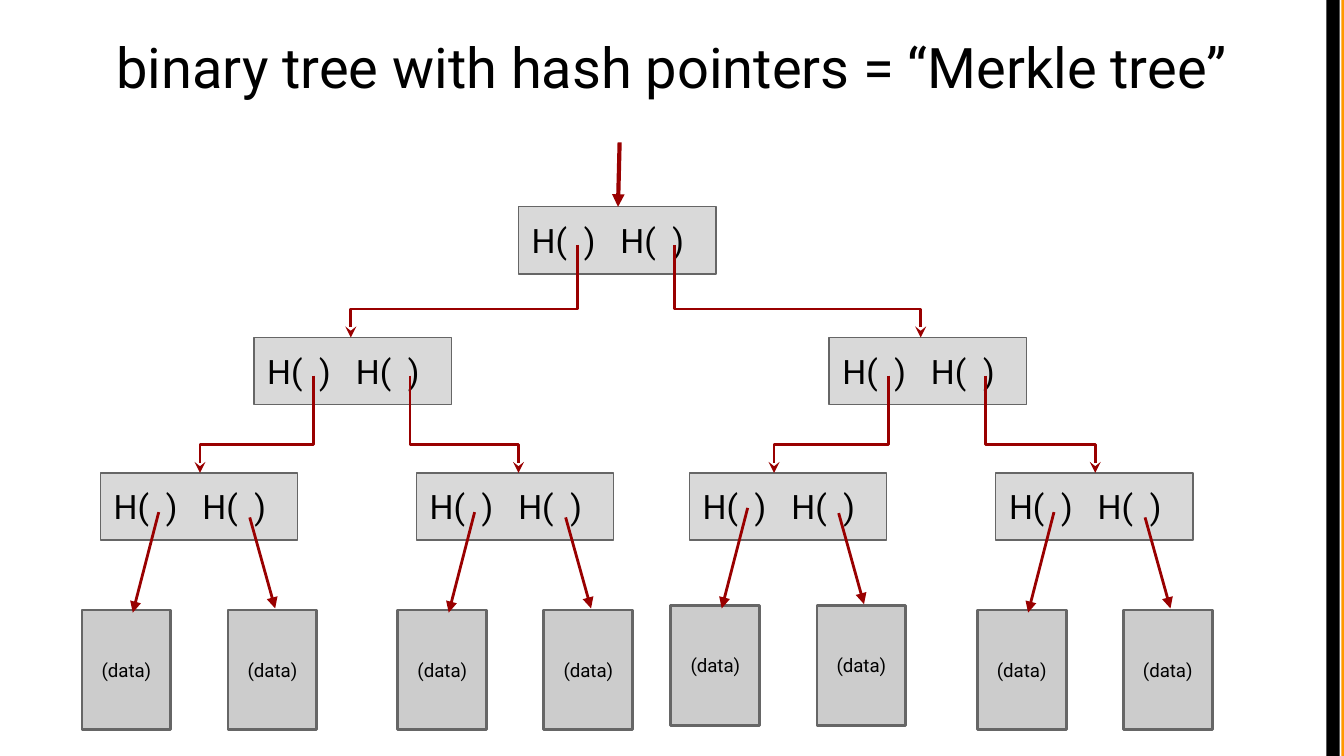
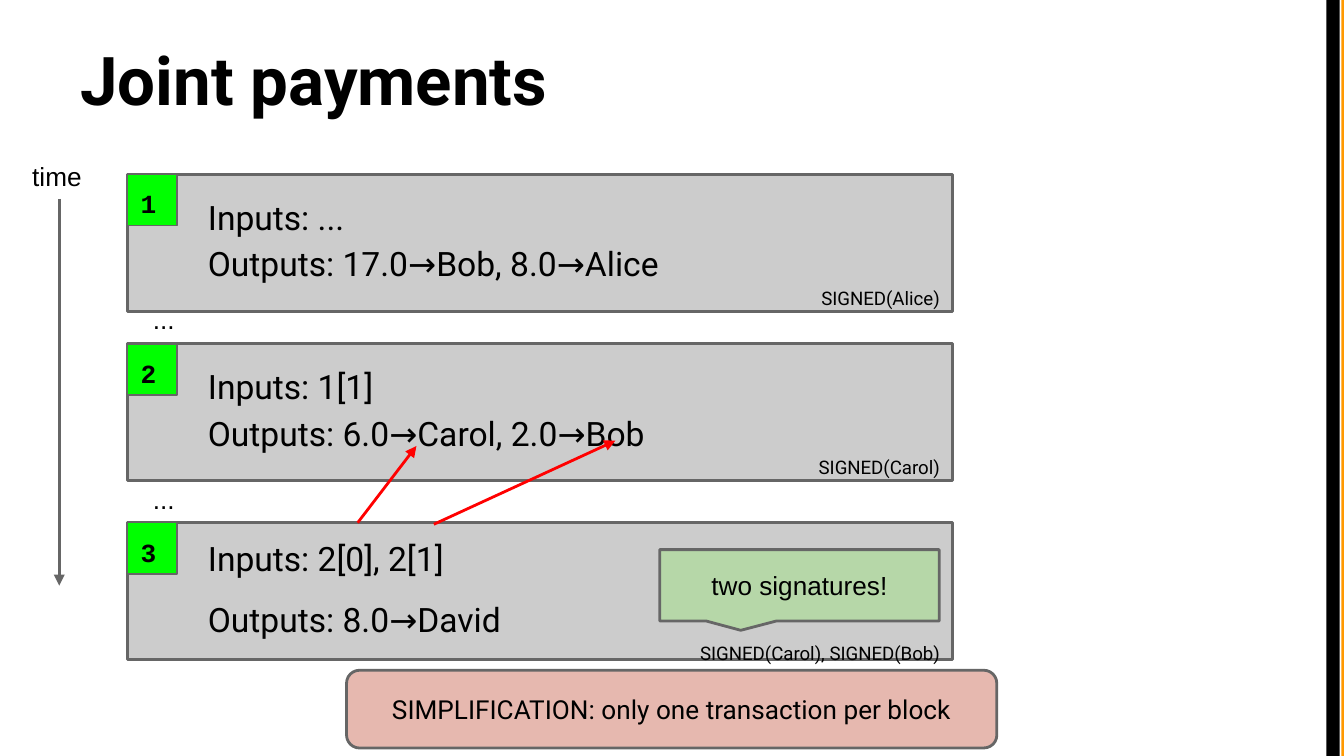
from dataclasses import dataclass

from lxml import etree
from pptx import Presentation
from pptx import util as u
from pptx.dml.color import RGBColor
from pptx.enum import shapes as es, text as et
from pptx.oxml.ns import qn

Cm, Pt = u.Cm, u.Pt
KIND = es.MSO_SHAPE
SIDE = et.PP_ALIGN
EDGE = et.MSO_ANCHOR


@dataclass(frozen=True)
class Theme:
    black: str = "000000"
    orange: str = "FF9900"
    edge: str = "666666"
    node: str = "D9D9D9"
    block: str = "CCCCCC"
    arrow: str = "990000"
    link: str = "FF0000"
    tag: str = "00FF00"
    note: str = "E6B8AF"
    call: str = "B6D7A8"
    sans: str = "Roboto"
    plain: str = "Arial"
    mono: str = "Courier New"
    head: int = 36
    sub: int = 30
    main: int = 18
    mid: int = 14
    small: int = 10
    thin: float = 0.75
    line: float = 1.5
    thick: float = 2.25


T = Theme()
WIDE, HIGH = 25.4, 14.29


def put(obj, **vals):
    for key, val in vals.items():
        setattr(obj, key, val)


def tint(part, hue):
    part.solid()
    part.fore_color.rgb = RGBColor.from_string(hue)


def place(shape, x, y, w, h):
    put(shape, left=Cm(x), top=Cm(y), width=Cm(w), height=Cm(h))


def write(shape, *paras, anchor=EDGE.MIDDLE):
    """Fill a shape with paragraphs, each a (text, format dict) pair."""
    frame = shape.text_frame
    pad = Cm(0.25)
    put(frame, word_wrap=True, auto_size=et.MSO_AUTO_SIZE.NONE,
        vertical_anchor=anchor, margin_left=pad, margin_right=pad,
        margin_top=pad, margin_bottom=pad)
    for i, (words, fmt) in enumerate(paras):
        para = frame.add_paragraph() if i else frame.paragraphs[0]
        put(para, alignment=fmt.get("side", SIDE.LEFT),
            line_spacing=fmt.get("gap"), space_before=Pt(fmt.get("before", 0)))
        props = para._p.get_or_add_pPr()
        props.set("marL", "0")
        props.set("indent", str(Cm(fmt.get("indent", 0))))
        etree.SubElement(props, qn("a:buNone"))
        run = para.add_run()
        run.text = words
        put(run.font, name=fmt.get("font", T.sans), bold=fmt.get("bold", False),
            size=Pt(fmt.get("size", T.main)))
        run.font.color.rgb = RGBColor.from_string(T.black)


def stroke(shape, hue, width, tip=None):
    tint(shape.line.fill, hue)
    shape.line.width = Pt(width)
    if tip:
        ln = shape.line._get_or_add_ln()
        etree.SubElement(ln, qn("a:tailEnd"), type=tip)


def box(pool, kind, area, fill, width=T.line):
    shape = pool.add_shape(kind, *map(Cm, area))
    shape.shadow.inherit = False
    tint(shape.fill, fill)
    stroke(shape, T.edge, width)
    return shape


def label(pool, area, words, anchor):
    write(pool.add_textbox(*map(Cm, area)),
          (words, dict(font=T.plain, size=T.mid)), anchor=anchor)


def arrow(pool, start, end, hue=T.arrow, width=T.line):
    line = pool.add_connector(es.MSO_CONNECTOR.STRAIGHT,
                              *map(Cm, (*start, *end)))
    stroke(line, hue, width, "triangle")
    etree.SubElement(line._element.spPr, qn("a:effectLst"))


def elbow(pool, start, end):
    """Draw a bent pointer that turns just above its target."""
    (x, y), (tx, ty) = start, end
    turn = ty - 0.54
    pen = pool.build_freeform(Cm(x), Cm(y))
    pen.add_line_segments([(Cm(a), Cm(b)) for a, b in
                           ((x, turn), (tx, turn), (tx, ty))], close=False)
    shape = pen.convert_to_shape()
    shape.shadow.inherit = False
    shape.fill.background()
    stroke(shape, T.arrow, T.line, "stealth")


def bands(deck, slide):
    """Build the right-hand bands and move them to the slide master."""
    tree = deck.slide_master.shapes._spTree
    for i, (x, w, hue) in enumerate(((25.35, 0.05, T.orange),
                                     (25.07, 0.25, T.black))):
        band = box(slide.shapes, KIND.RECTANGLE, (x, 0, w, HIGH), hue)
        band.line.fill.background()
        band._element.nvSpPr.cNvPr.set("id", str(20 + i))
        tree.append(band._element)


def node(pool, x, y):
    shape = box(pool, KIND.RECTANGLE, (x, y, 3.73, 1.27), T.node, T.thin)
    write(shape, ("H(  )   H(  )", {}), anchor=EDGE.TOP)


def leaves(slide, x, y):
    """Group the two data boxes and their pointers under a node at x."""
    pool = slide.shapes.add_group_shape().shapes
    for dx, start, end in ((-0.35, (1.45, -1.85), (0.96, 0.05)),
                           (2.41, (0.41, -1.75), (0.89, -0.03))):
        left = x + dx
        data = box(pool, KIND.RECTANGLE, (left, y, 1.68, 2.26), T.block)
        write(data, ("(data)", dict(size=T.small, side=SIDE.CENTER)))
        arrow(pool, *((left + a, y + b) for a, b in (start, end)))


def tree(slide):
    title, body = slide.placeholders[0], slide.placeholders[1]
    title._element.getparent().remove(title._element)
    place(body, 1.27, 0.36, 22.86, 1.9)
    write(body, ("binary tree with hash pointers = “Merkle tree”",
                 dict(size=T.sub, side=SIDE.CENTER, before=6)),
          anchor=EDGE.TOP)

    pool = slide.shapes
    tops = (3.91, 6.38, 8.94)
    rows = ((9.8,), (4.8, 15.67), (1.9, 7.87, 13.03, 18.82))
    tips = ((6.63, 17.4), (3.78, 9.8, 14.63, 20.7))
    for y, row in zip(tops, rows):
        for x in row:
            node(pool, x, y)
    for row, ends, y, low in zip(rows, tips, tops, tops[1:]):
        slots = [x + dx for x in row for dx in (1.12, 2.95)]
        for x, end in zip(slots, ends):
            elbow(pool, (x, y + 0.72), (end, low))
    for x, y in zip(rows[-1], (11.53, 11.53, 11.45, 11.53)):
        leaves(slide, x, y)
    arrow(pool, (11.71, 2.69), (11.68, 3.91), width=T.thick)


def block(pool, y, ins, outs, signed, gap=1.15):
    shape = box(pool, KIND.RECTANGLE, (2.41, y, 15.6, 2.59), T.block)
    write(shape, (ins, dict(indent=1.27, gap=1.5)),
          (outs, dict(indent=1.27, gap=gap)),
          (signed, dict(size=T.small, side=SIDE.RIGHT, gap=1.15)))


def tag(pool, y, num):
    shape = box(pool, KIND.RECTANGLE, (2.41, y, 0.94, 0.97), T.tag, T.thin)
    write(shape, (str(num), dict(font=T.mono, size=T.mid, bold=True)),
          anchor=EDGE.TOP)


def payments(slide):
    title = slide.shapes.title
    place(title, 1.27, 0.1, 22.86, 2.39)
    write(title, ("Joint payments", dict(size=T.head, bold=True)),
          anchor=EDGE.BOTTOM)

    pool = slide.shapes
    tops = (3.3, 6.5, 9.88)
    deals = (
        ("Inputs: ...", "Outputs: 17.0→Bob, 8.0→Alice", "SIGNED(Alice)"),
        ("Inputs: 1[1]", "Outputs: 6.0→Carol, 2.0→Bob", "SIGNED(Carol)"),
        ("Inputs: 2[0], 2[1]", "Outputs: 8.0→David",
         "SIGNED(Carol), SIGNED(Bob)", 1.5),
    )
    for num, (y, deal) in enumerate(zip(tops, deals), 1):
        block(pool, y, *deal)
        tag(pool, y, num)

    label(pool, (0.36, 2.79, 1.65, 0.97), "time", EDGE.TOP)
    arrow(pool, (1.12, 3.76), (1.12, 11.07), T.edge)
    for y in (5.72, 9.12):
        label(pool, (2.64, y, 0.95, 0.64), "...", EDGE.MIDDLE)
    for start, end in (((6.76, 9.88), (7.87, 8.43)),
                       ((8.2, 9.91), (11.63, 8.33))):
        arrow(pool, start, end, T.link)

    note = box(pool, KIND.ROUNDED_RECTANGLE, (6.55, 12.67, 12.29, 1.47), T.note)
    write(note, ("SIMPLIFICATION: only one transaction per block",
                 dict(size=T.mid, side=SIDE.CENTER)))
    call = box(pool, KIND.RECTANGULAR_CALLOUT, (12.47, 10.39, 5.28, 1.35), T.call)
    call.adjustments[0], call.adjustments[1] = -0.21, 0.63
    write(call, ("two signatures!",
                 dict(font=T.plain, size=T.mid, side=SIDE.CENTER)))


def main():
    deck = Presentation()
    put(deck, slide_width=Cm(WIDE), slide_height=Cm(HIGH))
    first = deck.slides.add_slide(deck.slide_layouts[1])
    bands(deck, first)
    tree(first)
    payments(deck.slides.add_slide(deck.slide_layouts[5]))
    deck.save("out.pptx")


if __name__ == "__main__":
    main()
